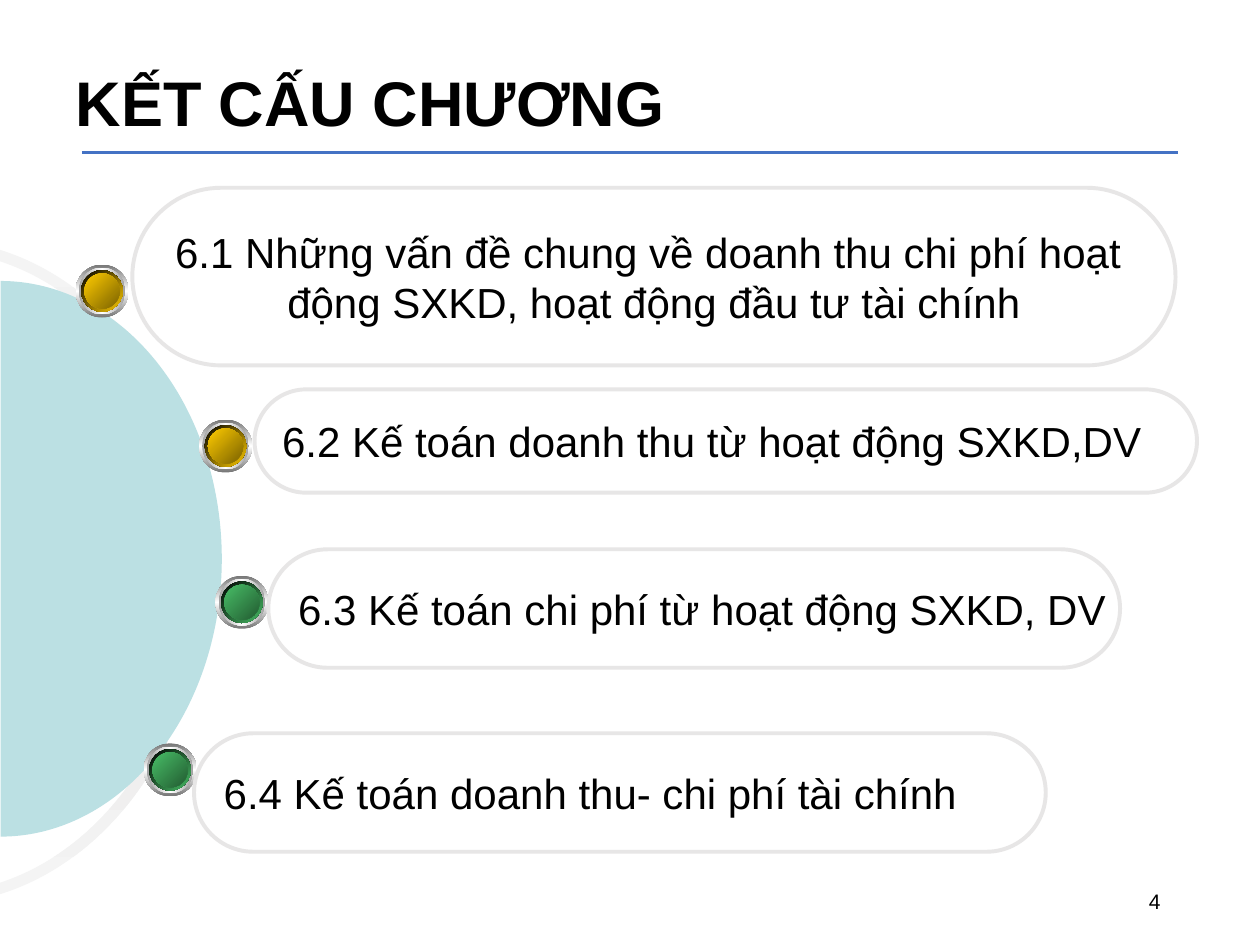
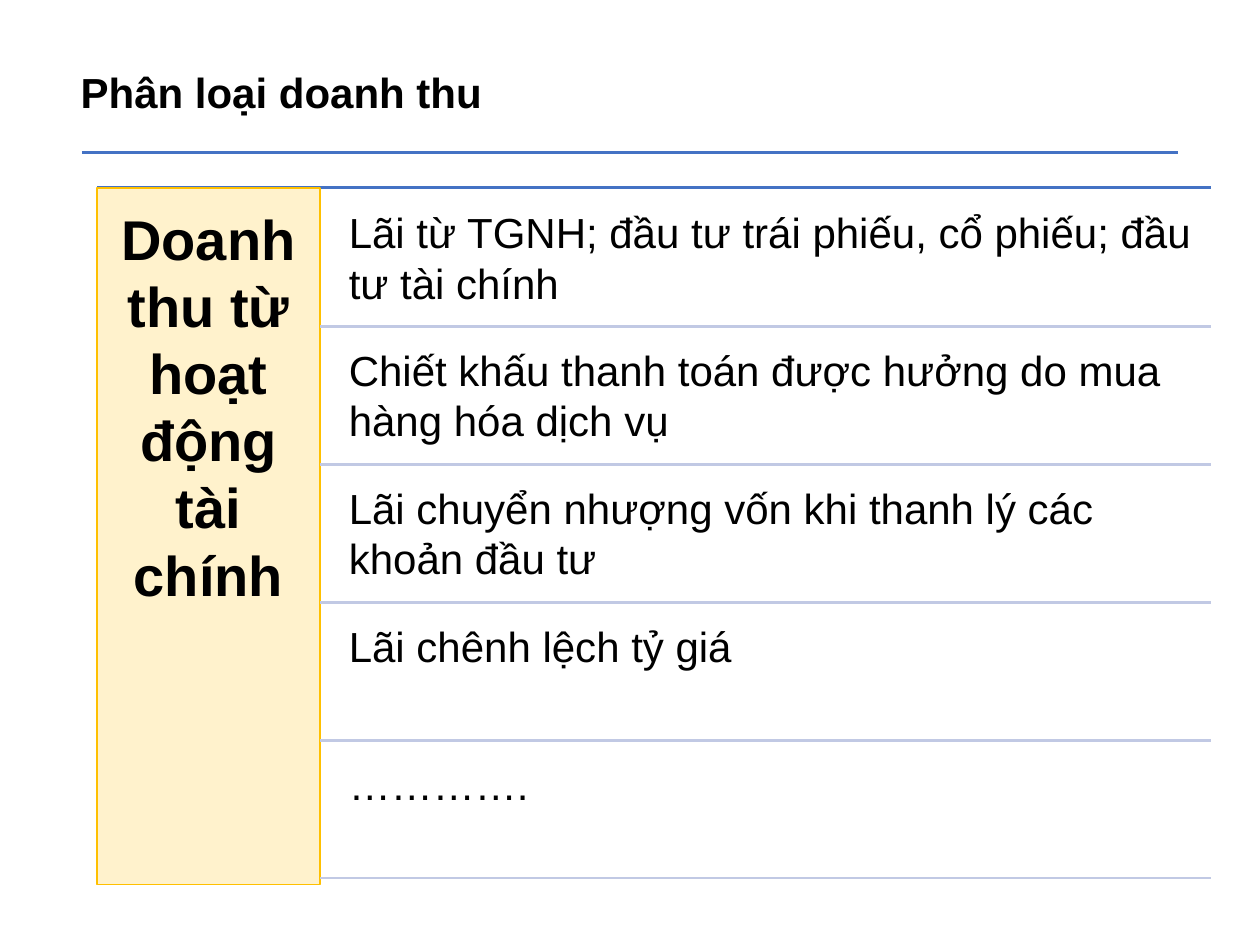
import dataclasses

import lxml.etree
import pptx
import pptx.dml.color
import pptx.enum.shapes
import pptx.enum.text
import pptx.oxml.ns
import pptx.util

Inches = pptx.util.Inches
SHAPE = pptx.enum.shapes.MSO_SHAPE
ANCHOR = pptx.enum.text.MSO_ANCHOR
ALIGN = pptx.enum.text.PP_ALIGN
qn = pptx.oxml.ns.qn


@dataclasses.dataclass(frozen=True)
class Theme:
    font: str = "Arial"
    ink: str = "000000"
    rule: str = "4472C4"
    row_rule: str = "C1C9E4"
    outline: str = "E7E6E6"
    arc_edge: str = "F4F4F4"
    disc: str = "BBE0E3"
    panel: str = "FFF2CC"
    panel_line: str = "FFC000"
    gold: tuple = ("FFCC00", "7C6300")
    green: tuple = ("48BE67", "235C32")
    title_size: int = 36
    panel_size: int = 32
    text_size: int = 24
    number_size: int = 12


THEME = Theme()


def rgb(colour):
    return pptx.dml.color.RGBColor.from_string(colour)


# --- Text ---
def write(frame, paragraphs, size, bold=False, align=ALIGN.LEFT,
          anchor=ANCHOR.TOP, inset=None, wrap=True):
    frame.word_wrap = wrap
    frame.auto_size = pptx.enum.text.MSO_AUTO_SIZE.NONE
    frame.vertical_anchor = anchor
    if inset is not None:
        frame.margin_left = frame.margin_right = Inches(inset)
        frame.margin_top = frame.margin_bottom = Inches(inset)
    for index, words in enumerate(paragraphs):
        paragraph = frame.add_paragraph() if index else frame.paragraphs[0]
        paragraph.alignment = align
        run = paragraph.add_run()
        run.text = words
        run.font.name = THEME.font
        run.font.size = pptx.util.Pt(size)
        run.font.bold = bold
        run.font.color.rgb = rgb(THEME.ink)


def add_text(slide, box, words, size, **style):
    label = slide.shapes.add_textbox(*map(Inches, box))
    write(label.text_frame, [words], size, **style)


def set_title(slide, box, words, size, line_spacing=1.0, **style):
    title = slide.shapes.title
    title.left, title.top, title.width, title.height = map(Inches, box)
    write(title.text_frame, [words], size, bold=True, **style)
    title.text_frame.paragraphs[0].line_spacing = line_spacing


# --- Lines and fills ---
def add_rule(slide, left, right, y, colour):
    rule = slide.shapes.add_connector(
        pptx.enum.shapes.MSO_CONNECTOR.STRAIGHT,
        Inches(left), Inches(y), Inches(right), Inches(y))
    rule.line.color.rgb = rgb(colour)
    rule.line.width = pptx.util.Pt(1.5)
    lxml.etree.SubElement(rule.element.spPr, qn("a:effectLst"))
    return rule


def paint(shape, fill=None, line=None, width=1):
    shape.shadow.inherit = False
    if fill:
        shape.fill.solid()
        shape.fill.fore_color.rgb = rgb(fill)
    else:
        shape.fill.background()
    if line:
        shape.line.color.rgb = rgb(line)
        shape.line.width = pptx.util.Pt(width)
    else:
        shape.line.fill.background()


def paint_gradient(shape, colours, angle):
    """Spread the colours evenly; the angle runs clockwise."""
    paint(shape)
    shape.fill.gradient()
    shape.fill.gradient_angle = -angle % 360
    stops = shape.element.spPr.find(qn("a:gradFill")).find(qn("a:gsLst"))
    for stop in list(stops):
        stops.remove(stop)
    for index, colour in enumerate(colours):
        position = round(100000 * index / (len(colours) - 1))
        stop = lxml.etree.SubElement(stops, qn("a:gs"), pos=str(position))
        lxml.etree.SubElement(stop, qn("a:srgbClr"), val=colour)


# --- Chapter outline parts ---
def add_right_arc(slide, box, thickness):
    """A half ring facing right; a thickness of 0.5 closes it to a disc."""
    arc = slide.shapes.add_shape(SHAPE.BLOCK_ARC, *map(Inches, box))
    arc.adjustments[2] = thickness
    arc.rotation = 90
    return arc


def add_half_disc(slide):
    ring = add_right_arc(slide, (-3.18, 2.37, 5.28, 4.34), 0.02)
    paint_gradient(ring, (THEME.arc_edge, THEME.outline, THEME.arc_edge), 0)
    disc = add_right_arc(slide, (-2.2, 2.68, 4.41, 3.51), 0.5)
    paint(disc, THEME.disc)


def add_orb(slide, centre_x, centre_y, tones):
    light, dark = tones
    layers = [
        (0.42, ("767676", "FFFFFF", "767676"), 90),
        (0.37, ("A2A2A2", "FFFFFF", "A2A2A2"), 0),
        (0.33, (THEME.ink, light), 45),
        (0.28, (light, dark), 45),
    ]
    orb = slide.shapes.add_group_shape()
    for size, colours, angle in layers:
        layer = orb.shapes.add_shape(
            SHAPE.OVAL, Inches(centre_x - size / 2),
            Inches(centre_y - size / 2), Inches(size), Inches(size))
        paint_gradient(layer, colours, angle)


def add_pill(slide, box, lines, align):
    pill = slide.shapes.add_shape(SHAPE.ROUNDED_RECTANGLE, *map(Inches, box))
    pill.adjustments[0] = 0.5
    paint(pill, line=THEME.outline, width=2.25)
    write(pill.text_frame, lines, THEME.text_size, align=align,
          anchor=ANCHOR.MIDDLE, wrap=False)


# --- Slides ---
def build_outline(slide):
    set_title(slide, (0.5, 0.22, 9, 1.25), "KẾT CẤU CHƯƠNG",
              THEME.title_size, line_spacing=0.9, anchor=ANCHOR.MIDDLE)
    add_half_disc(slide)
    sections = [
        ((0.81, 2.31), THEME.gold, (1.05, 1.49, 8.28, 1.41), ALIGN.CENTER,
         ["6.1 Những vấn đề chung về doanh thu chi phí hoạt ",
          "động SXKD, hoạt động đầu tư tài chính"]),
        ((1.79, 3.54), THEME.gold, (2.02, 3.09, 7.48, 0.82), ALIGN.LEFT,
         ["6.2 Kế toán doanh thu từ hoạt động SXKD,DV"]),
        ((1.92, 4.78), THEME.green, (2.13, 4.36, 6.76, 0.94), ALIGN.LEFT,
         ["6.3 Kế toán chi phí từ hoạt động SXKD, DV"]),
        ((1.35, 6.11), THEME.green, (1.54, 5.82, 6.76, 0.94), ALIGN.LEFT,
         ["6.4 Kế toán doanh thu- chi phí tài chính"]),
    ]
    for centre, tones, box, align, lines in sections:
        add_orb(slide, *centre, tones)
        add_pill(slide, box, lines, align)
    add_text(slide, (7.06, 6.95, 2.25, 0.4), "4", THEME.number_size,
             align=ALIGN.RIGHT, anchor=ANCHOR.MIDDLE)


def build_revenue_types(slide):
    set_title(slide, (0.54, 0.48, 3.48, 0.5), "Phân loại doanh thu",
              THEME.text_size)

    # Category panel
    left, right, top = 0.77, 9.61, 1.49
    panel_box = (left, top, 1.77, 5.53)
    add_rule(slide, left, right, top, THEME.rule)
    panel = slide.shapes.add_shape(SHAPE.RECTANGLE, *map(Inches, panel_box))
    paint(panel, THEME.panel, THEME.panel_line)
    write(panel.text_frame, ["Doanh thu từ hoạt động tài chính"],
          THEME.panel_size, bold=True, align=ALIGN.CENTER, inset=0.13)

    # Revenue sources, one ruled row each
    sources = [
        "Lãi từ TGNH; đầu tư trái phiếu, cổ phiếu; đầu tư tài chính",
        "Chiết khấu thanh toán được hưởng do mua hàng hóa dịch vụ",
        "Lãi chuyển nhượng vốn khi thanh lý các khoản đầu tư",
        "Lãi chênh lệch tỷ giá",
        "………….",
    ]
    first_rule, last_rule = 2.59, 6.97
    pitch = (last_rule - first_rule) / (len(sources) - 1)
    for index, source in enumerate(sources):
        rule_y = first_rule + index * pitch
        add_text(slide, (2.67, rule_y - 1.05, 6.94, 1.04), source,
                 THEME.text_size, inset=0.1)
        add_rule(slide, 2.54, right, rule_y, THEME.row_rule)


def main():
    deck = pptx.Presentation()
    deck.slide_width, deck.slide_height = Inches(10), Inches(7.5)
    layout = deck.slide_layouts[5]
    outline = deck.slides.add_slide(layout)
    revenue_types = deck.slides.add_slide(layout)

    # The rule under the title belongs to the shared layout
    title_rule = add_rule(outline, 0.65, 9.35, 1.21, THEME.rule)
    layout.element.cSld.spTree.append(title_rule.element)

    build_outline(outline)
    build_revenue_types(revenue_types)
    deck.save("out.pptx")


if __name__ == "__main__":
    main()
